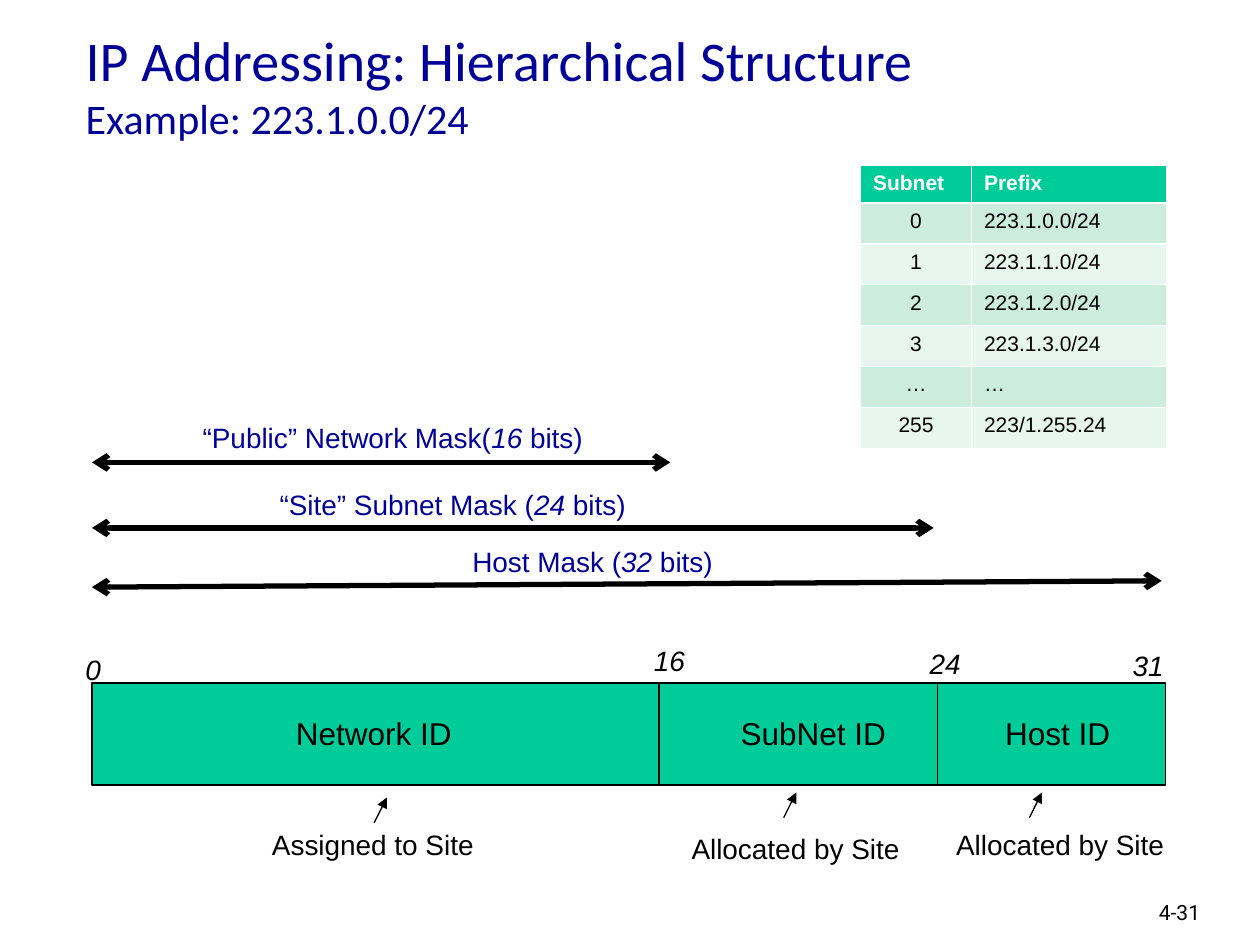
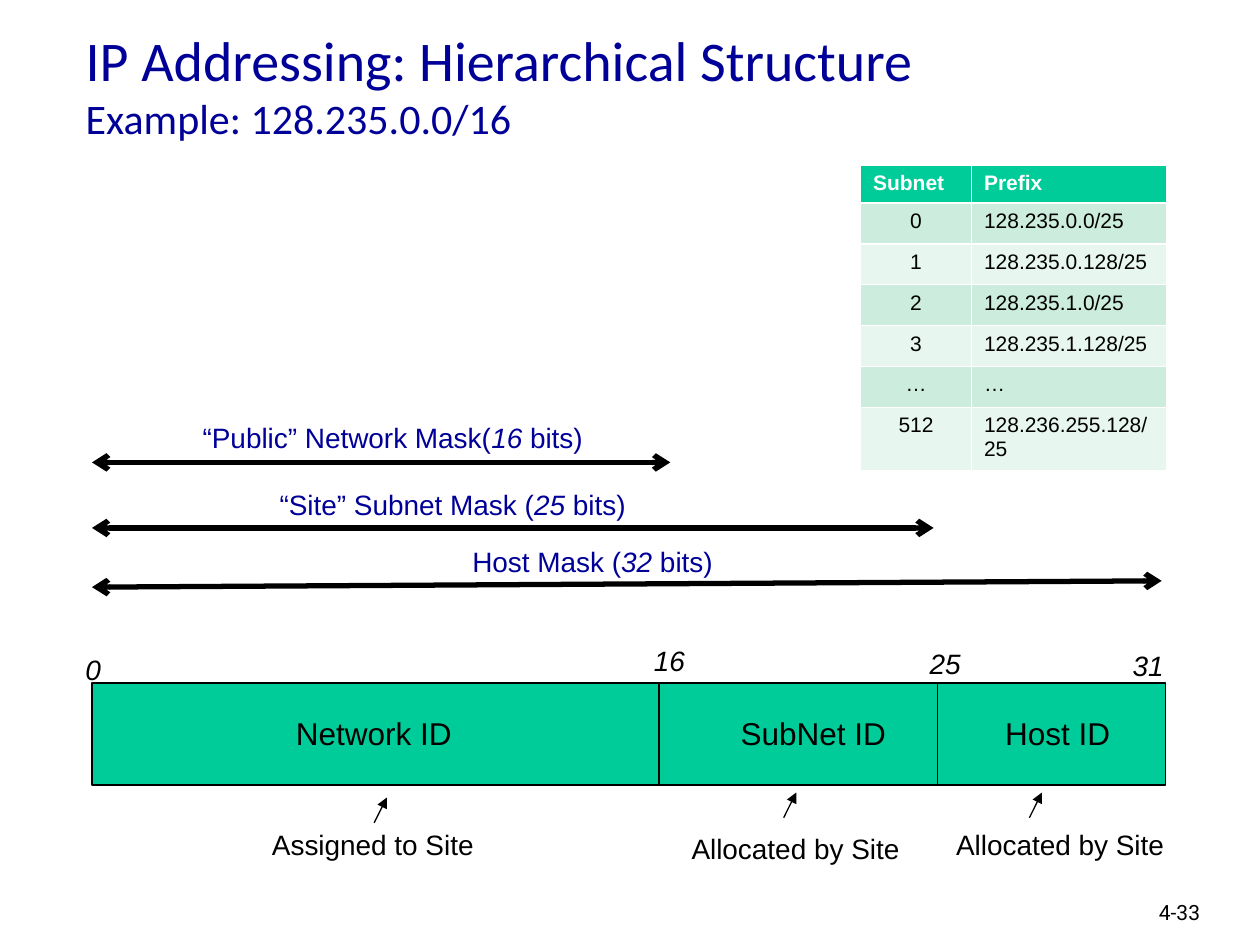
"""Build two slides on hierarchical IP addressing with a subnet table and bit layout."""
from dataclasses import dataclass

import pptx
import pptx.dml.color
import pptx.enum.shapes
import pptx.enum.text
import pptx.oxml
import pptx.oxml.ns
import pptx.util

Inches = pptx.util.Inches
Pt = pptx.util.Pt
PP_ALIGN = pptx.enum.text.PP_ALIGN

COLORS = {
    "title": "000099",
    "ink": "000000",
    "white": "FFFFFF",
    "green": "00CC99",
    "band_dark": "CCECDE",
    "band_light": "E7F6EF",
}
HEADING = "IP Addressing: Hierarchical Structure"
BAR_LEFT, BAR_TOP, BAR_WIDTH, BAR_HEIGHT = 0.73, 5.42, 8.52, 0.81
DIVIDERS = (5.23, 7.44)
COLUMN_WIDTHS = (0.88, 1.55)
HEADER_HEIGHT, BODY_HEIGHT = 0.3, 1.95


@dataclass(frozen=True)
class Example:
    """One address block with its subnet size and subnet prefixes."""

    network: str
    subnet_bits: str
    page: str
    subnets: tuple[tuple[str, str], ...]


@dataclass(frozen=True)
class Label:
    """A one-line text, optionally with italic bits in its middle."""

    text: str
    left: float
    top: float
    width: float
    size: int = 16
    color: str = "ink"
    italic: bool = False
    bits: str = ""
    ending: str = ""


@dataclass(frozen=True)
class Span:
    """A line from start to end with optional arrowheads."""

    start: tuple[float, float]
    end: tuple[float, float]
    weight: float = 0.75
    head: str = ""
    tail: str = ""


EXAMPLES = (
    Example("223.1.0.0/24", "24", "4-31", (
        ("0", "223.1.0.0/24"),
        ("1", "223.1.1.0/24"),
        ("2", "223.1.2.0/24"),
        ("3", "223.1.3.0/24"),
        ("…", "…"),
        ("255", "223/1.255.24"),
    )),
    Example("128.235.0.0/16", "25", "4-33", (
        ("0", "128.235.0.0/25"),
        ("1", "128.235.0.128/25"),
        ("2", "128.235.1.0/25"),
        ("3", "128.235.1.128/25"),
        ("…", "…"),
        ("512", "128.236.255.128/25"),
    )),
)
FIELD_NAMES = (
    Label("Network ID", 2.25, 5.62, 1.45, 18),
    Label("SubNet ID", 5.78, 5.62, 1.37, 18),
    Label("Host ID", 7.88, 5.62, 1.04, 18),
)
FIELD_ORIGINS = (
    Label("Assigned to Site", 2.06, 6.52, 1.82),
    Label("Allocated by Site", 5.39, 6.55, 1.87),
    Label("Allocated by Site", 7.49, 6.52, 1.87),
)
ORIGIN_POINTERS = tuple(
    Span((x, y), (x + 0.1, y - 0.2), tail="triangle")
    for x, y in ((2.97, 6.53), (6.22, 6.49), (8.17, 6.49))
)
MASK_SPANS = tuple(
    Span((BAR_LEFT, y_start), (x_end, y_end), 3, "arrow", "arrow")
    for y_start, x_end, y_end in ((3.67, 5.32, 3.67), (4.19, 7.41, 4.19), (4.66, 9.22, 4.61))
)
FIELD_DIVIDERS = tuple(
    Span((x, BAR_TOP), (x, BAR_TOP + BAR_HEIGHT)) for x in DIVIDERS
)


def rgb(name: str) -> pptx.dml.color.RGBColor:
    """Return the named colour."""
    return pptx.dml.color.RGBColor.from_string(COLORS[name])


def style_paragraph(paragraph, font: str, color: str, size: float | None = None,
                    bold: bool | None = None, italic: bool | None = None) -> None:
    """Set the font that all runs of a paragraph share."""
    paragraph.font.name = font
    paragraph.font.color.rgb = rgb(color)
    paragraph.font.bold = bold
    paragraph.font.italic = italic
    if size:
        paragraph.font.size = Pt(size)


def draw_title(slide, network: str) -> None:
    """Place the heading with its example line."""
    title = slide.shapes.title
    title.left, title.top = Inches(0.58), Inches(0.2)
    title.width, title.height = Inches(8.5), Inches(1.3)
    frame = title.text_frame
    frame.auto_size = pptx.enum.text.MSO_AUTO_SIZE.NONE
    frame.vertical_anchor = pptx.enum.text.MSO_ANCHOR.TOP
    frame.margin_top = 0
    paragraph = frame.paragraphs[0]
    paragraph.alignment = PP_ALIGN.LEFT
    style_paragraph(paragraph, "Calibri", "title")
    heading = paragraph.add_run()
    heading.text = HEADING
    heading.font.size = Pt(32)
    paragraph.add_line_break()
    example_line = paragraph.add_run()
    example_line.text = f"Example: {network}"
    example_line.font.size = Pt(24)


def draw_label(slide, label: Label) -> None:
    """Write a label that does not wrap."""
    height = 0.4 if label.size == 18 else 0.37
    box = slide.shapes.add_textbox(
        Inches(label.left), Inches(label.top), Inches(label.width), Inches(height))
    frame = box.text_frame
    frame.word_wrap = False
    frame.auto_size = pptx.enum.text.MSO_AUTO_SIZE.SHAPE_TO_FIT_TEXT
    paragraph = frame.paragraphs[0]
    style_paragraph(paragraph, "Arial", label.color, label.size, italic=label.italic)
    paragraph.add_run().text = label.text
    if label.bits:
        bits = paragraph.add_run()
        bits.text = label.bits
        bits.font.italic = True
        paragraph.add_run().text = label.ending


def draw_span(slide, span: Span) -> None:
    """Draw a straight line with its arrowheads."""
    connector = slide.shapes.add_connector(
        pptx.enum.shapes.MSO_CONNECTOR.STRAIGHT,
        *(Inches(value) for value in span.start + span.end))
    connector.line.color.rgb = rgb("ink")
    connector.line.width = Pt(span.weight)
    outline = connector.line._get_or_add_ln()
    for tag, kind in (("a:headEnd", span.head), ("a:tailEnd", span.tail)):
        if kind:
            arrowhead = pptx.oxml.parse_xml(f"<{tag} {pptx.oxml.ns.nsdecls('a')}/>")
            arrowhead.set("type", kind)
            outline.append(arrowhead)
    connector._element.spPr.append(
        pptx.oxml.parse_xml(f"<a:effectLst {pptx.oxml.ns.nsdecls('a')}/>"))


def draw_address_bar(slide) -> None:
    """Draw the 32-bit address bar."""
    bar = slide.shapes.add_shape(
        pptx.enum.shapes.MSO_SHAPE.RECTANGLE,
        Inches(BAR_LEFT), Inches(BAR_TOP), Inches(BAR_WIDTH), Inches(BAR_HEIGHT))
    bar.shadow.inherit = False
    bar.fill.solid()
    bar.fill.fore_color.rgb = rgb("green")
    bar.line.color.rgb = rgb("ink")
    bar.line.width = Pt(0.75)


def draw_subnet_table(slide, subnets: tuple[tuple[str, str], ...]) -> None:
    """Fill the table of subnets and prefixes."""
    rows = (("Subnet", "Prefix"), *subnets)
    table = slide.shapes.add_table(
        len(rows), len(COLUMN_WIDTHS), Inches(6.83), Inches(1.31),
        Inches(sum(COLUMN_WIDTHS)), Inches(HEADER_HEIGHT + BODY_HEIGHT)).table
    for column, width in zip(table.columns, COLUMN_WIDTHS):
        column.width = Inches(width)
    for row_index, row in enumerate(rows):
        is_header = row_index == 0
        table.rows[row_index].height = Inches(
            HEADER_HEIGHT if is_header else BODY_HEIGHT / len(subnets))
        band = "green" if is_header else ("band_light", "band_dark")[row_index % 2]
        for column_index, value in enumerate(row):
            cell = table.cell(row_index, column_index)
            cell.fill.solid()
            cell.fill.fore_color.rgb = rgb(band)
            cell.text = value
            paragraph = cell.text_frame.paragraphs[0]
            if column_index == 0 and not is_header:
                paragraph.alignment = PP_ALIGN.CENTER
            style_paragraph(paragraph, "Arial", "white" if is_header else "ink", 12, is_header)


def draw_page_number(slide, page: str) -> None:
    """Write the page number in the lower right corner."""
    box = slide.shapes.add_textbox(Inches(9.1), Inches(7.09), Inches(0.74), Inches(0.3))
    box.text_frame.word_wrap = True
    box.text_frame.text = page
    style_paragraph(box.text_frame.paragraphs[0], "Roboto", "ink", 12)


def build_slide(presentation, example: Example) -> None:
    """Lay out the slide for one example."""
    slide = presentation.slides.add_slide(presentation.slide_layouts[5])
    draw_title(slide, example.network)
    draw_page_number(slide, example.page)
    draw_address_bar(slide)
    masks = (
        Label("“Public” Network Mask(", 1.51, 3.29, 3.26,
              color="title", bits="16", ending=" bits)"),
        Label("“Site” Subnet Mask (", 2.12, 3.82, 2.99,
              color="title", bits=example.subnet_bits, ending=" bits)"),
        Label("Host Mask (", 3.65, 4.27, 2.14,
              color="title", bits="32", ending=" bits)"),
    )
    bit_positions = (
        Label("0", 0.58, 5.13, 0.33, italic=True),
        Label("16", 5.09, 5.06, 0.45, italic=True),
        Label(example.subnet_bits, 7.28, 5.08, 0.45, italic=True),
        Label("31", 8.89, 5.1, 0.45, italic=True),
    )
    for span in FIELD_DIVIDERS + MASK_SPANS + ORIGIN_POINTERS:
        draw_span(slide, span)
    for label in FIELD_NAMES + masks + bit_positions + FIELD_ORIGINS:
        draw_label(slide, label)
    draw_subnet_table(slide, example.subnets)


def main() -> None:
    """Create and save the presentation."""
    presentation = pptx.Presentation()
    presentation.slide_width, presentation.slide_height = Inches(10), Inches(7.5)
    for example in EXAMPLES:
        build_slide(presentation, example)
    presentation.save("out.pptx")


if __name__ == "__main__":
    main()
